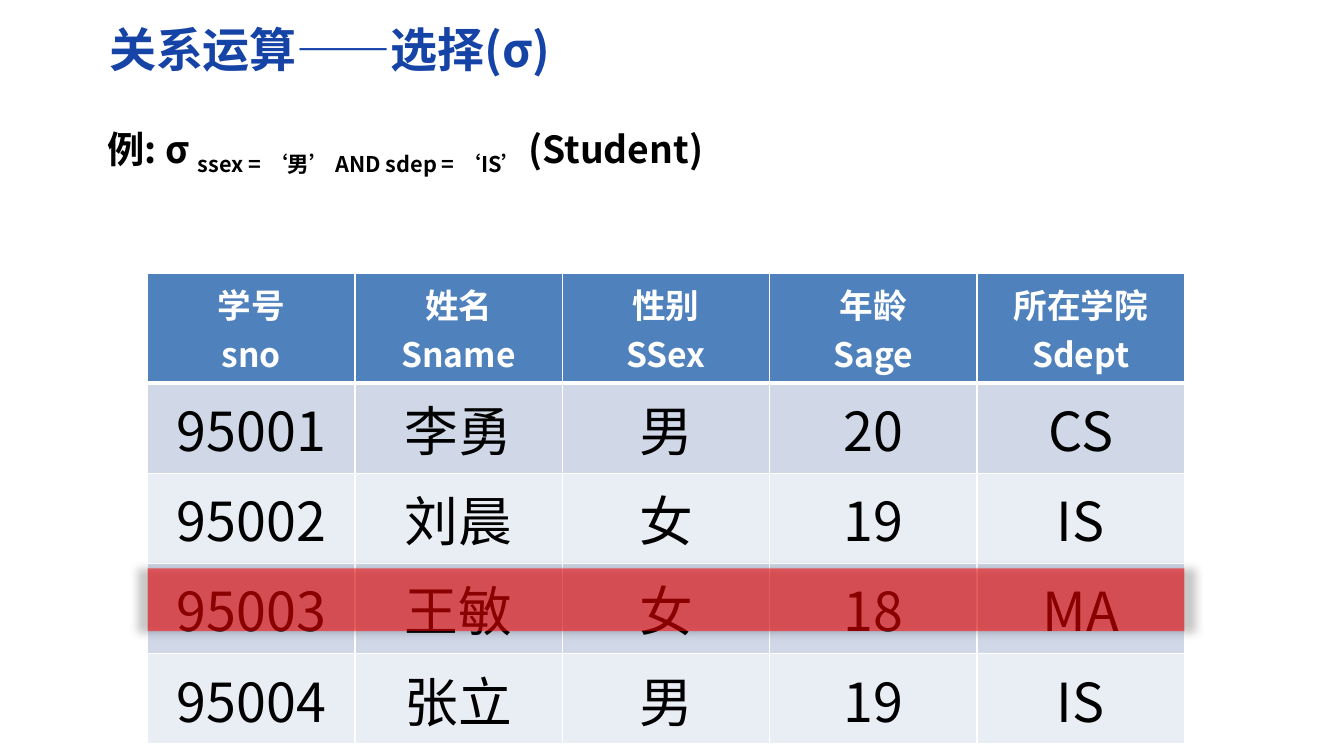
from dataclasses import dataclass

from lxml.etree import SubElement
from pptx import Presentation
from pptx.dml.color import RGBColor
from pptx.enum.lang import MSO_LANGUAGE_ID as Language
from pptx.enum.shapes import MSO_SHAPE as Shape
from pptx.enum.text import MSO_ANCHOR as Anchor, MSO_AUTO_SIZE as AutoSize, PP_ALIGN as Align
from pptx.oxml import parse_xml
from pptx.oxml.ns import nsdecls, qn
from pptx.util import Cm, Pt

FONT = "Noto Sans CJK SC"
WHITE = RGBColor(0xFF, 0xFF, 0xFF)
BLACK = RGBColor(0x00, 0x00, 0x00)
RED = RGBColor(0xFF, 0x00, 0x00)
TITLE_BLUE = RGBColor(0x15, 0x43, 0xA6)
HEADER_BLUE = RGBColor(0x4F, 0x81, 0xBD)
BANDS = (RGBColor(0xD0, 0xD8, 0xE8), RGBColor(0xE9, 0xED, 0xF4))


@dataclass(frozen=True)
class Style:
    size: float
    color: RGBColor
    bold: bool = True
    baseline: int = 0


@dataclass(frozen=True)
class Place:
    left: float
    top: float
    width: float
    height: float

    def lengths(self) -> tuple:
        return Cm(self.left), Cm(self.top), Cm(self.width), Cm(self.height)


TITLE = Style(28, TITLE_BLUE)
EXAMPLE = Style(22.2, BLACK)
CONDITION = Style(22.2, BLACK, baseline=-25000)
HEADING = Style(20, WHITE)
VALUE = Style(32, BLACK, bold=False)

TITLE_PLACE = Place(2.01, 0.3, 24.92, 1.45)
EXAMPLE_PLACE = Place(2.01, 2.21, 22.58, 1.37)
TABLE_PLACE = Place(3.1, 5.74, 21.77, 7.51)
HIGHLIGHT_PLACE = Place(3.1, 11.94, 21.77, 1.32)
HEADER_HEIGHT, ROW_HEIGHT = 2.31, 1.3

HEADINGS = (
    ("学号", "sno"), ("姓名", "Sname"), ("性别", "SSex"),
    ("年龄", "Sage"), ("所在学院", "Sdept"),
)
STUDENTS = (
    ("95001", "李勇", "男", "20", "CS"),
    ("95002", "刘晨", "女", "19", "IS"),
    ("95003", "王敏", "女", "18", "MA"),
    ("95004", "张立", "男", "19", "IS"),
)


def add_span(para, text: str, style: Style) -> None:
    span = para.add_run()
    span.text = text
    font = span.font
    font.size = Pt(style.size)
    font.bold = style.bold
    font.color.rgb = style.color
    font.name = FONT
    font.language_id = Language.SIMPLIFIED_CHINESE
    properties = span._r.get_or_add_rPr()
    SubElement(properties, qn("a:ea")).set("typeface", FONT)
    if style.baseline:
        properties.set("baseline", str(style.baseline))


def add_title(page) -> None:
    title = page.shapes.title
    title.left, title.top, title.width, title.height = TITLE_PLACE.lengths()
    frame = title.text_frame
    frame.vertical_anchor = Anchor.MIDDLE
    frame.auto_size = AutoSize.NONE
    frame.margin_left = frame.margin_right = Cm(0.28)
    frame.margin_top = frame.margin_bottom = Cm(0.15)
    para = frame.paragraphs[0]
    para.alignment = Align.LEFT
    add_span(para, "关系运算——选择(σ)", TITLE)


def add_example(page) -> None:
    frame = page.shapes.add_textbox(*EXAMPLE_PLACE.lengths()).text_frame
    frame.word_wrap = True
    frame.auto_size = AutoSize.SHAPE_TO_FIT_TEXT
    para = frame.paragraphs[0]
    para.line_spacing = 1.3
    add_span(para, "例: σ ", EXAMPLE)
    add_span(para, "ssex = ‘男’ AND sdep = ‘IS’ ", CONDITION)
    add_span(para, "(Student)", EXAMPLE)


def border_cell(cell, bottom: float) -> None:
    widths = {"lnL": 1, "lnR": 1, "lnT": 1, "lnB": bottom}
    properties = cell._tc.get_or_add_tcPr()
    for index, (side, width) in enumerate(widths.items()):
        properties.insert(index, parse_xml(
            f'<a:{side} {nsdecls("a")} w="{Pt(width)}"><a:solidFill>'
            f'<a:srgbClr val="{WHITE}"/></a:solidFill></a:{side}>'
        ))


def fill_cell(cell, lines: tuple, style: Style, color: RGBColor, bottom: float) -> None:
    cell.fill.solid()
    cell.fill.fore_color.rgb = color
    border_cell(cell, bottom)
    frame = cell.text_frame
    for index, line in enumerate(lines):
        para = frame.add_paragraph() if index else frame.paragraphs[0]
        para.alignment = Align.CENTER
        add_span(para, line, style)


def add_students(page) -> None:
    table = page.shapes.add_table(
        len(STUDENTS) + 1, len(HEADINGS), *TABLE_PLACE.lengths()
    ).table
    for column in table.columns:
        column.width = Cm(TABLE_PLACE.width / len(HEADINGS))
    for index, row in enumerate(table.rows):
        row.height = Cm(ROW_HEIGHT if index else HEADER_HEIGHT)
    for column, heading in enumerate(HEADINGS):
        fill_cell(table.cell(0, column), heading, HEADING, HEADER_BLUE, 3)
    for row, student in enumerate(STUDENTS):
        for column, value in enumerate(student):
            fill_cell(table.cell(row + 1, column), (value,), VALUE, BANDS[row % 2], 1)


def add_highlight(page) -> None:
    band = page.shapes.add_shape(Shape.RECTANGLE, *HIGHLIGHT_PLACE.lengths())
    band.shadow.inherit = False
    band.fill.solid()
    band.fill.fore_color.rgb = RED
    band.line.fill.background()
    properties = band._element.spPr
    color = properties.find(f'{qn("a:solidFill")}/{qn("a:srgbClr")}')
    SubElement(color, qn("a:alpha")).set("val", "54000")
    properties.find(qn("a:effectLst")).append(parse_xml(
        f'<a:outerShdw {nsdecls("a")} blurRad="{Pt(5)}" sx="102000" sy="102000" '
        f'algn="ctr" rotWithShape="0"><a:srgbClr val="{BLACK}">'
        '<a:alpha val="40000"/></a:srgbClr></a:outerShdw>'
    ))


def main() -> None:
    deck = Presentation()
    deck.slide_width, deck.slide_height = Cm(28.22), Cm(15.88)
    page = deck.slides.add_slide(deck.slide_layouts[5])
    add_title(page)
    add_students(page)
    add_example(page)
    add_highlight(page)
    deck.save("out.pptx")


if __name__ == "__main__":
    main()
